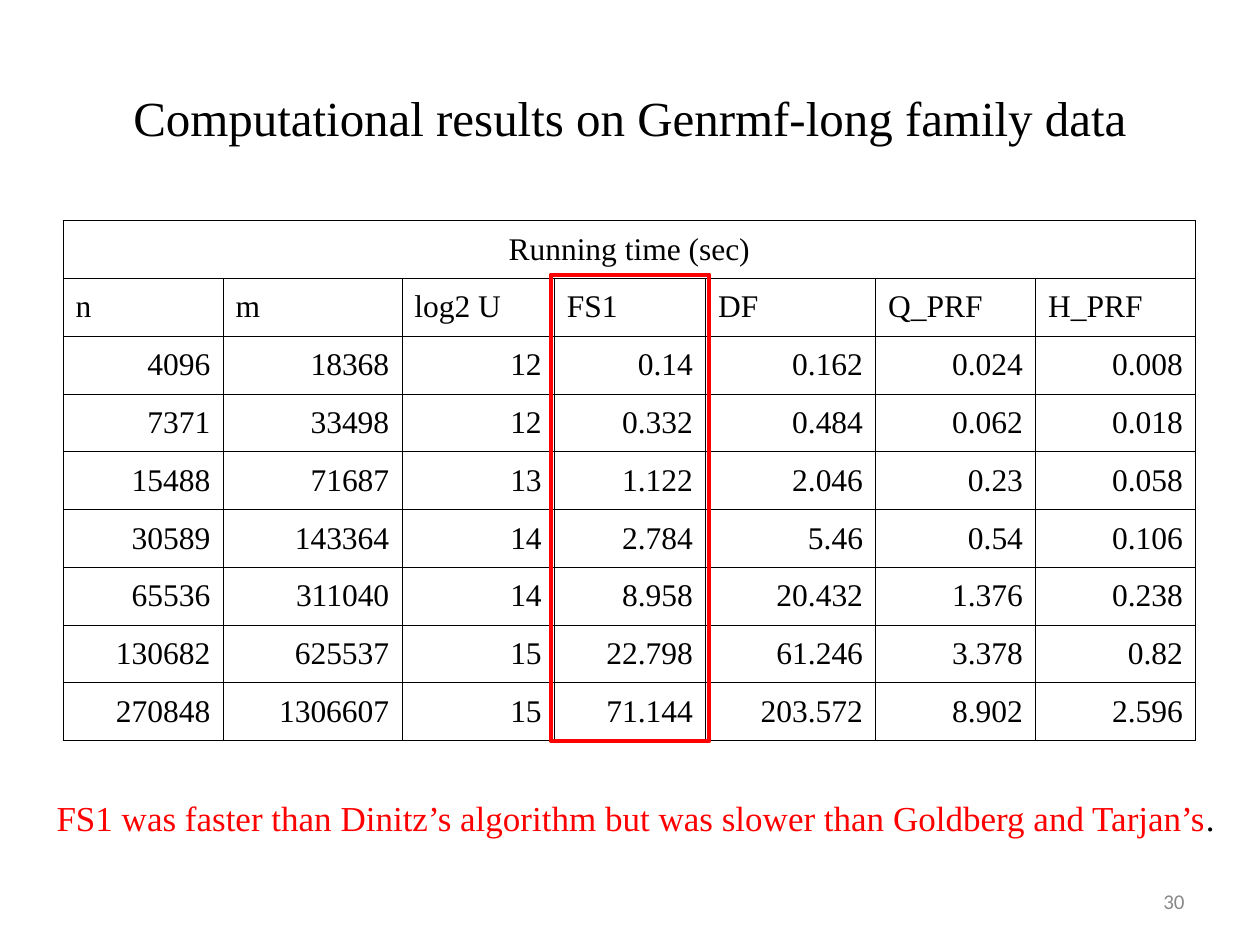
import dataclasses

import lxml.etree
import pptx
import pptx.dml.color
import pptx.enum.shapes
import pptx.enum.text
import pptx.oxml.ns
import pptx.util

Inches = pptx.util.Inches
Pt = pptx.util.Pt
ALIGN = pptx.enum.text.PP_ALIGN
ANCHOR = pptx.enum.text.MSO_ANCHOR

BLACK = pptx.dml.color.RGBColor(0x00, 0x00, 0x00)
RED = pptx.dml.color.RGBColor(0xFF, 0x00, 0x00)
GRAY = pptx.dml.color.RGBColor(0x89, 0x89, 0x89)

SERIF = "Times New Roman"
THIN, THICK = Pt(0.45), Pt(0.96)

TABLE_TITLE = "Running time (sec)"
COLUMN_WIDTHS = [1.27, 1.42, 1.21, 1.2, 1.35, 1.27, 1.27]
ROW_HEIGHT = 0.459
HEADINGS = ["n", "m", "log2 U", "FS1", "DF", "Q_PRF", "H_PRF"]
RESULTS = [
    ["4096", "18368", "12", "0.14", "0.162", "0.024", "0.008"],
    ["7371", "33498", "12", "0.332", "0.484", "0.062", "0.018"],
    ["15488", "71687", "13", "1.122", "2.046", "0.23", "0.058"],
    ["30589", "143364", "14", "2.784", "5.46", "0.54", "0.106"],
    ["65536", "311040", "14", "8.958", "20.432", "1.376", "0.238"],
    ["130682", "625537", "15", "22.798", "61.246", "3.378", "0.82"],
    ["270848", "1306607", "15", "71.144", "203.572", "8.902", "2.596"],
]
FS1_COLUMN = HEADINGS.index("FS1")


@dataclasses.dataclass
class Span:
    text: str
    color: pptx.dml.color.RGBColor


@dataclasses.dataclass
class Label:
    left: float
    top: float
    width: float
    height: float
    spans: list[Span]
    size: float
    font: str = SERIF
    align: ALIGN = ALIGN.LEFT
    anchor: ANCHOR = ANCHOR.MIDDLE


LABELS = [
    Label(7.17, 6.95, 2.33, 0.4, [Span("30", GRAY)], 12, "Calibri", ALIGN.RIGHT),
    Label(0.5, 0.3, 9, 1.25,
          [Span("Computational results on Genrmf-long family data", BLACK)],
          28, align=ALIGN.CENTER),
    Label(0.35, 6.27, 9.45, 0.44,
          [Span("FS1 was faster than Dinitz’s algorithm but was slower than "
                "Goldberg and Tarjan’s", RED), Span(".", BLACK)],
          20, anchor=ANCHOR.TOP),
]


def style_font(font: pptx.text.text.Font, name: str, size: float,
               color: pptx.dml.color.RGBColor) -> None:
    font.name = name
    font.size = Pt(size)
    font.color.rgb = color


def add_label(slide: pptx.slide.Slide, label: Label) -> None:
    box = slide.shapes.add_textbox(Inches(label.left), Inches(label.top),
                                   Inches(label.width), Inches(label.height))
    frame = box.text_frame
    frame.word_wrap = True
    frame.vertical_anchor = label.anchor
    paragraph = frame.paragraphs[0]
    paragraph.alignment = label.align
    for span in label.spans:
        run = paragraph.add_run()
        run.text = span.text
        style_font(run.font, label.font, label.size, span.color)


def set_borders(cell: pptx.table._Cell, column: int) -> None:
    qn = pptx.oxml.ns.qn
    properties = cell._tc.get_or_add_tcPr()
    # The line between log2 U and FS1 is the heavier one
    widths = {
        "a:lnL": THICK if column == FS1_COLUMN else THIN,
        "a:lnR": THICK if column == FS1_COLUMN - 1 else THIN,
        "a:lnT": THIN,
        "a:lnB": THIN,
    }
    for side, width in widths.items():
        line = lxml.etree.SubElement(properties, qn(side), w=str(int(width)))
        fill = lxml.etree.SubElement(line, qn("a:solidFill"))
        lxml.etree.SubElement(fill, qn("a:srgbClr"), val=str(BLACK))


def write_cell(cell: pptx.table._Cell, text: str, align: ALIGN) -> None:
    cell.vertical_anchor = ANCHOR.MIDDLE
    cell.text_frame.text = text
    paragraph = cell.text_frame.paragraphs[0]
    paragraph.alignment = align
    style_font(paragraph.runs[0].font, SERIF, 18, BLACK)


def add_results_table(slide: pptx.slide.Slide) -> None:
    row_count = len(RESULTS) + 2
    table = slide.shapes.add_table(
        row_count, len(HEADINGS), Inches(0.5), Inches(1.75),
        Inches(sum(COLUMN_WIDTHS)), Inches(ROW_HEIGHT * row_count)).table
    table.first_row = False
    table.horz_banding = False
    for column, width in zip(table.columns, COLUMN_WIDTHS):
        column.width = Inches(width)
    for row in table.rows:
        row.height = Inches(ROW_HEIGHT)
        for column_index, cell in enumerate(row.cells):
            set_borders(cell, column_index if row is not table.rows[0] else -1)
            cell.fill.background()
            cell.margin_left = cell.margin_right = Inches(0.1)
            cell.margin_top = cell.margin_bottom = Inches(0.05)

    # Title row, headings, then the measured values
    table.cell(0, 0).merge(table.cell(0, len(HEADINGS) - 1))
    write_cell(table.cell(0, 0), TABLE_TITLE, ALIGN.CENTER)
    for row_index, values in enumerate([HEADINGS, *RESULTS], start=1):
        align = ALIGN.LEFT if row_index == 1 else ALIGN.RIGHT
        for column_index, value in enumerate(values):
            write_cell(table.cell(row_index, column_index), value, align)


def add_fs1_highlight(slide: pptx.slide.Slide) -> None:
    highlight = slide.shapes.add_shape(
        pptx.enum.shapes.MSO_SHAPE.RECTANGLE,
        Inches(4.37), Inches(2.18), Inches(1.26), Inches(3.7))
    highlight.shadow.inherit = False
    highlight.fill.background()
    highlight.line.color.rgb = RED
    highlight.line.width = Pt(2.25)


def main() -> None:
    presentation = pptx.Presentation()
    presentation.slide_width = Inches(10)
    presentation.slide_height = Inches(7.5)
    slide = presentation.slides.add_slide(presentation.slide_layouts[6])

    page_number, title, conclusion = LABELS
    add_label(slide, page_number)
    add_label(slide, title)
    add_results_table(slide)
    add_fs1_highlight(slide)
    add_label(slide, conclusion)

    presentation.save("out.pptx")


if __name__ == "__main__":
    main()
